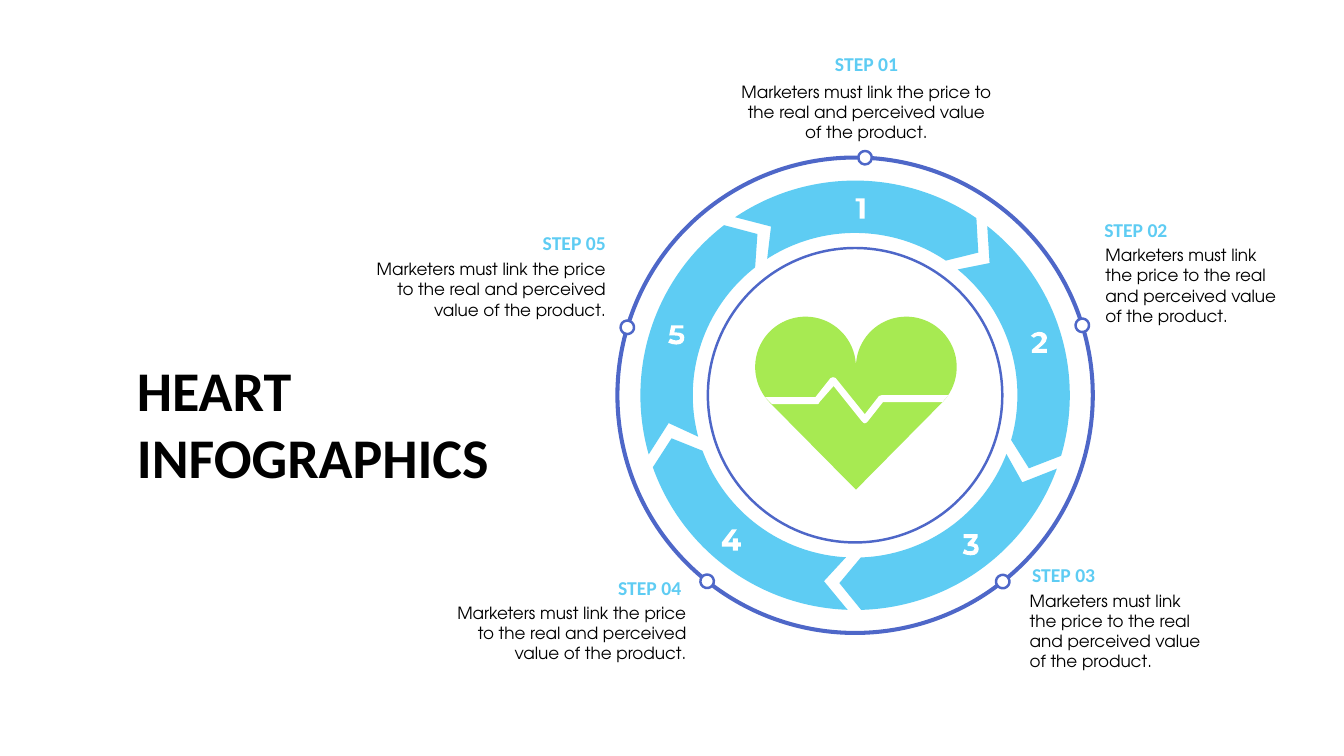
import math

from lxml import etree
from pptx import Presentation
from pptx import util as u
from pptx.dml.color import RGBColor
from pptx.enum import shapes, text
from pptx.oxml import ns

SKY = RGBColor(0x5E, 0xCC, 0xF3)
INDIGO = RGBColor(0x4E, 0x67, 0xC8)
GREEN = RGBColor(0xA7, 0xEA, 0x52)
WHITE = RGBColor(0xFF, 0xFF, 0xFF)
BLACK = RGBColor(0, 0, 0)

HEADING_FONT = "Calibri"
BODY_FONT = "TeX Gyre Adventor"
LEFT, CENTER, RIGHT = text.PP_ALIGN.LEFT, text.PP_ALIGN.CENTER, text.PP_ALIGN.RIGHT

WHEEL = (21.55, 9.96)
OUTER, MIDDLE, INNER = 5.41, 4.75, 4.09
ORBIT, HUB, DOT = 5.99, 3.71, 0.17
DOT_ANGLES = [2.4, 72.9, 141.6, 218.5, 286.6]
BODY = "Marketers must link the price to the real and perceived value of the product."

STEPS = [
    ((19.86, 1.19), (18.42, 1.93, 6.83, 1.8), CENTER),
    ((27.58, 5.36), (27.61, 6.05, 4.95, 2.31), LEFT),
    ((25.76, 14.05), (25.7, 14.76, 4.95, 2.31), LEFT),
    ((13.46, 14.38), (11.23, 15.06, 6.32, 1.8), RIGHT),
    ((11.56, 5.69), (8.84, 6.4, 6.68, 1.8), RIGHT),
]

GLYPH_UNIT = 0.0254
NUMERALS = [
    ((21.56, 5), [(9, 0), (9, 20), (4, 20), (4, 3), (0, 3), (0, 0)]),
    ((25.98, 8.36), [
        (16, 17), (16, 21), (1, 21), (1, 18), (9, 11), (10, 9, 11, 8, 11, 7),
        (11, 5, 10, 4, 7, 4), (6, 4, 4, 5, 3, 6), (0, 4), (2, 2, 5, 0, 8, 0),
        (13, 0, 16, 3, 16, 6), (16, 9, 14, 11, 12, 13), (7, 17)]),
    ((24.26, 13.46), [
        (16, 14), (16, 18, 14, 21, 8, 21), (5, 21, 2, 20, 0, 19), (2, 15),
        (4, 17, 6, 17, 8, 17), (10, 17, 12, 16, 12, 14), (12, 13, 10, 12, 8, 12),
        (5, 12), (5, 9), (10, 4), (1, 4), (1, 0), (15, 0), (15, 3), (11, 9),
        (14, 9, 16, 11, 16, 14)]),
    ((18.19, 13.34), [
        (19, 17), (16, 17), (16, 21), (11, 21), (11, 17), (0, 17), (0, 13), (10, 0),
        (15, 0), (6, 13), (11, 13), (11, 9), (16, 9), (16, 13), (19, 13)]),
    ((16.84, 8.2), [
        (16, 12), (16, 16, 14, 19, 8, 19), (5, 19, 2, 18, 0, 17), (2, 13),
        (4, 14, 6, 15, 8, 15), (10, 15, 12, 14, 12, 13), (12, 11, 11, 10, 7, 10),
        (1, 10), (3, 0), (15, 0), (15, 3), (7, 3), (6, 7), (8, 7), (14, 7, 16, 9, 16, 12)]),
]
PULSE = ((19.28, 9.5), [
    (182, 18), (176, 25), (117, 25), (102, 44), (101, 45, 100, 46, 99, 46),
    (98, 46, 97, 45, 96, 44), (68, 9), (54, 25), (54, 26, 53, 27, 52, 27), (7, 27),
    (0, 20), (50, 20), (65, 1), (66, 0, 69, 0, 70, 1), (99, 37), (113, 19),
    (114, 18, 115, 18, 116, 18)])


def polar(center, radius, degrees):
    angle = math.radians(degrees)
    return center[0] + radius * math.sin(angle), center[1] - radius * math.cos(angle)


def arc(center, radius, start, end):
    count = math.ceil(abs(end - start) / 90)
    step = (end - start) / count
    reach = radius * 4 / 3 * math.tan(math.radians(step) / 4)
    steps = [polar(center, radius, start)]
    for i in range(count):
        first, last = start + i * step, start + (i + 1) * step
        x, y = polar(center, radius, last)
        steps.append((*polar(polar(center, radius, first), reach, first + 90),
                      *polar((x, y), reach, last - 90), x, y))
    return steps


def extent(paths):
    points = []
    for steps in paths:
        for step in steps:
            if len(step) == 6:
                controls = [points[-1], step[:2], step[2:4], step[4:]]
                for t in (i / 16 for i in range(1, 16)):
                    weights = ((1 - t) ** 3, 3 * t * (1 - t) ** 2, 3 * t * t * (1 - t), t ** 3)
                    points.append(tuple(sum(w * c[axis] for w, c in zip(weights, controls))
                                        for axis in (0, 1)))
            points.append(step[-2:])
    xs, ys = zip(*points)
    return min(xs), min(ys), max(xs), max(ys)


def write_text(frame, content, font=BODY_FONT, size=12, color=BLACK, bold=False, align=LEFT):
    frame.word_wrap = True
    frame.auto_size = text.MSO_AUTO_SIZE.SHAPE_TO_FIT_TEXT
    paragraph = frame.paragraphs[0]
    paragraph.alignment = align
    run = paragraph.add_run()
    run.text = content
    run.font.name = font
    run.font.size = u.Pt(size)
    run.font.bold = bold
    run.font.color.rgb = color


class Infographic:
    def __init__(self, slide):
        self.slide = slide

    def paint(self, shape, fill=None, line=None):
        shape.shadow.inherit = False
        if fill is None:
            shape.fill.background()
        else:
            shape.fill.solid()
            shape.fill.fore_color.rgb = fill
        if line is None:
            shape.line.fill.background()
        else:
            shape.line.color.rgb = line
            shape.line.width = u.Pt(1.75)

    def text_box(self, box, content, **style):
        shape = self.slide.shapes.add_textbox(*map(u.Cm, box))
        write_text(shape.text_frame, content, **style)

    def circle(self, center, radius, **style):
        box = (center[0] - radius, center[1] - radius, 2 * radius, 2 * radius)
        self.paint(self.slide.shapes.add_shape(shapes.MSO_SHAPE.OVAL, *map(u.Cm, box)), **style)

    def outline(self, *paths, **style):
        left, top, right, bottom = map(u.Cm, extent(paths))
        builder = self.slide.shapes.build_freeform(left, top)
        builder.add_line_segments([(right, top), (right, bottom), (left, bottom)])
        shape = builder.convert_to_shape()
        drawing = next(shape.element.iter(ns.qn("a:path")))
        for child in list(drawing):
            drawing.remove(child)
        for steps in paths:
            for index, step in enumerate(steps):
                kind = "a:moveTo" if index == 0 else "a:lnTo" if len(step) == 2 else "a:cubicBezTo"
                command = etree.SubElement(drawing, ns.qn(kind))
                for x, y in zip(step[::2], step[1::2]):
                    etree.SubElement(command, ns.qn("a:pt"),
                                     x=str(u.Cm(x) - left), y=str(u.Cm(y) - top))
            etree.SubElement(drawing, ns.qn("a:close"))
        self.paint(shape, **style)

    def glyph(self, origin, steps):
        self.outline([tuple(origin[i % 2] + value * GLYPH_UNIT for i, value in enumerate(step))
                      for step in steps], fill=WHITE)

    def segment(self, turn):
        self.outline(arc(WHEEL, OUTER, turn - 34, turn + 34.4)
                     + [polar(WHEEL, MIDDLE, turn + 40.8)]
                     + arc(WHEEL, INNER, turn + 34, turn - 32.8)
                     + [polar(WHEEL, MIDDLE, turn - 26.5)], fill=SKY)

    def orbit(self):
        gap = math.degrees(DOT / ORBIT)
        rims = []
        for side in (1, -1):
            rim = []
            for dot, following in zip(DOT_ANGLES, DOT_ANGLES[1:] + [DOT_ANGLES[0] + 360]):
                rim += arc(polar(WHEEL, ORBIT, dot), DOT, dot - 90, dot - 90 + side * 180)
                rim += arc(WHEEL, ORBIT + side * 0.02, dot + gap, following - gap)
            rims.append(rim)
        self.outline(*rims, fill=WHITE, line=INDIGO)

    def heart(self):
        self.outline(arc((20.3, 9.25), 1.27, 90, -135) + [(21.57, 12.34)]
                     + arc((22.84, 9.25), 1.27, 135, -90), fill=GREEN)
        self.glyph(*PULSE)


def main():
    presentation = Presentation()
    presentation.slide_width, presentation.slide_height = u.Cm(33.87), u.Cm(19.05)
    slide = presentation.slides.add_slide(presentation.slide_layouts[6])
    infographic = Infographic(slide)

    infographic.text_box((3.2, 8.84, 10.16, 3.68), "HEART INFOGRAPHICS",
                         font=HEADING_FONT, size=40, bold=True)
    for index, numeral in enumerate(NUMERALS):
        infographic.segment(index * 360 / len(NUMERALS))
        infographic.glyph(*numeral)
    infographic.circle(WHEEL, HUB, line=INDIGO)
    infographic.orbit()
    infographic.heart()

    for number, (heading, body, align) in enumerate(STEPS, 1):
        infographic.text_box(body, BODY, align=align)
        infographic.text_box((*heading, 3.96, 0.86), f"STEP {number:02}", font=HEADING_FONT,
                             size=14, color=SKY, bold=True, align=align)

    presentation.save("out.pptx")


if __name__ == "__main__":
    main()
